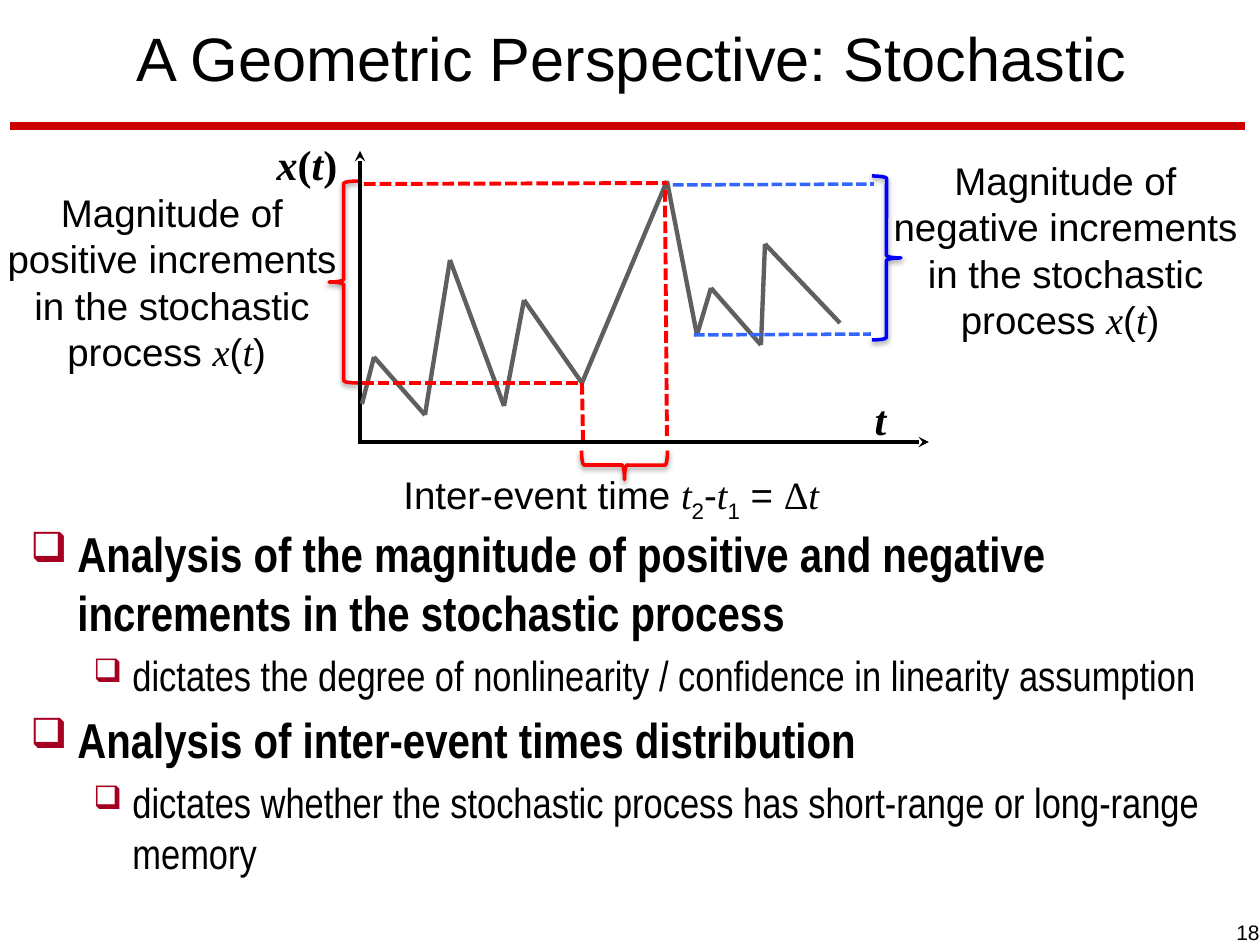
import itertools

import pptx
import pptx.dml.color
import pptx.enum.dml
import pptx.enum.shapes
import pptx.enum.text
import pptx.oxml
import pptx.oxml.ns
import pptx.util

SCALE = 914400 / 126  # EMU per px
NS = pptx.oxml.ns.nsdecls("a")
ALIGN = pptx.enum.text.PP_ALIGN
BLACK, RED, BLUE = "000000", "FF0000", "3366FF"


def px(n):
    return pptx.util.Emu(round(n * SCALE))


def color(text):
    return pptx.dml.color.RGBColor.from_string(text)


def node(tag, attrs="", inner=""):
    return pptx.oxml.parse_xml(f"<a:{tag} {NS} {attrs}>{inner}</a:{tag}>")


class Page:
    sans, serif, narrow = "Arial", "Times New Roman", "Arial Narrow"

    def __init__(self, slide):
        self.slide = slide

    def stroke(self, line, tint, width, dash=False):
        line.color.rgb = color(tint)
        line.width = pptx.util.Pt(width)
        if dash:
            line.dash_style = pptx.enum.dml.MSO_LINE.SQUARE_DOT

    def line(self, start, end, tint, width, dash=False, arrow=False):
        item = self.slide.shapes.add_connector(
            pptx.enum.shapes.MSO_CONNECTOR.STRAIGHT,
            *map(px, start + end))
        self.stroke(item.line, tint, width, dash)
        props = item._element.spPr
        if arrow:
            props.find(pptx.oxml.ns.qn("a:ln")).append(
                node("tailEnd", 'type="stealth"'))
        props.append(node("effectLst"))

    def brace(self, box, turn, tint):
        item = self.slide.shapes.add_shape(
            pptx.enum.shapes.MSO_SHAPE.RIGHT_BRACE, *map(px, box))
        item.rotation = turn
        item.fill.background()
        self.stroke(item.line, tint, 2)
        shade = ('<a:outerShdw blurRad="39370" dist="20320" dir="5400000" '
                 'rotWithShape="0"><a:srgbClr val="000000">'
                 '<a:alpha val="38000"/></a:srgbClr></a:outerShdw>')
        item._element.spPr.append(node("effectLst", inner=shade))

    def frame(self, box, wrap=True, middle=False):
        frame = self.slide.shapes.add_textbox(*map(px, box)).text_frame
        frame.word_wrap = wrap
        if middle:
            frame.vertical_anchor = pptx.enum.text.MSO_ANCHOR.MIDDLE
        return frame

    def run(self, para, text, size, face, bold=False, slant=False, base=0):
        run = para.add_run()
        run.text = text
        font = run.font
        font.size, font.name = pptx.util.Pt(size), face
        font.bold, font.italic = bold, slant
        font.color.rgb = color(BLACK)
        if base:
            run._r.get_or_add_rPr().set("baseline", str(base * 1000))

    def text(self, box, runs, size, align=ALIGN.CENTER, bold=False,
             wrap=True, middle=False):
        para = self.frame(box, wrap, middle).paragraphs[0]
        para.alignment = align
        for text, face, *rest in runs:
            self.run(para, text, size, face, bold, *rest)

    def points(self, box, items):
        frame = self.frame(box)
        for i, (level, text) in enumerate(items):
            para = frame.add_paragraph() if i else frame.paragraphs[0]
            para.level = level
            size = (28, 24)[level]
            left, hang, share = ((47, 47, 85), (102, 39, 77))[level]
            props = para._p.get_or_add_pPr()
            props.set("marL", str(px(left)))
            props.set("indent", str(px(-hang)))
            props.append(node("buClr", inner='<a:srgbClr val="A50021"/>'))
            props.append(node("buSzPct", f'val="{share * 1000}"'))
            props.append(node("buChar", 'char="❑"'))
            if i:
                para.space_before = pptx.util.Pt(size * 0.2)
            self.run(para, text, size, self.narrow, bold=level == 0)


def main():
    deck = pptx.Presentation()
    deck.slide_width, deck.slide_height = px(1260), px(945)
    page = Page(deck.slides.add_slide(deck.slide_layouts[6]))
    sans, serif = page.sans, page.serif

    # Title, rule and slide number
    page.line((10, 126), (1245, 126), "CC0000", 5)
    page.text((-24, 10, 1312, 94),
              [("A Geometric Perspective: Stochastic", sans)], 35, middle=True)
    page.text((978, 907, 294, 50), [("18", sans)], 12, ALIGN.RIGHT,
              middle=True)

    # Main points
    page.points((18, 517, 1227, 285), [
        (0, "Analysis of the magnitude of positive and negative increments "
            "in the stochastic process"),
        (1, "dictates the degree of nonlinearity / confidence in linearity "
            "assumption"),
        (0, "Analysis of inter-event times distribution"),
        (1, "dictates whether the stochastic process has short-range or "
            "long-range memory"),
    ])

    # Axes and their names
    page.line((360, 442), (929, 442), BLACK, 2, arrow=True)
    page.line((360, 444), (360, 151), BLACK, 2, arrow=True)
    page.text((227, 132, 160, 63),
              [("x", serif, True), ("(", serif), ("t", serif, True),
               (")", serif)], 24, bold=True)
    page.text((835, 387, 91, 63), [("t", serif, True)], 24, bold=True)

    # Sample path of the process
    track = [(362, 404), (374, 357), (425, 415), (450, 260), (504, 406),
             (524, 300), (582, 383), (667, 181), (697, 335), (711, 288),
             (761, 345), (765, 244), (840, 323)]
    for start, end in itertools.pairwise(track):
        page.line(start, end, "5F5F5F", 2.5)

    # Dashed guides
    for start, end, tint, width in [
            ((582, 383), (583, 440), RED, 2.25),
            ((665, 190), (667, 436), RED, 2.25),
            ((364, 184), (667, 183), RED, 2.25),
            ((362, 383), (578, 383), RED, 2.25),
            ((673, 185), (874, 184), BLUE, 2),
            ((694, 335), (871, 334), BLUE, 2)]:
        page.line(start, end, tint, width, dash=True)

    # Braces
    page.brace((329, 181, 29, 202), 180, RED)
    page.brace((610, 422, 29, 86), 90, RED)
    page.brace((872, 176, 29, 164), 0, "0000FF")

    # Captions
    page.text((391, 465, 474, 59),
              [("Inter-event time ", sans), ("t", serif, True),
               ("2", sans, False, -25), ("-", sans), ("t", serif, True),
               ("1", sans, False, -25), (" = ", sans), ("Δ", serif),
               ("t", serif, True)], 22, ALIGN.LEFT, wrap=False)
    for sign, box in [("positive", (-9, 183, 362, 199)),
                      ("negative", (879, 151, 373, 199))]:
        page.text(box, [
            (f"Magnitude of {sign} increments in the stochastic process ",
             sans),
            ("x", serif, True), ("(", sans), ("t", serif, True),
            (") ", sans)], 22)

    deck.save("out.pptx")


if __name__ == "__main__":
    main()
